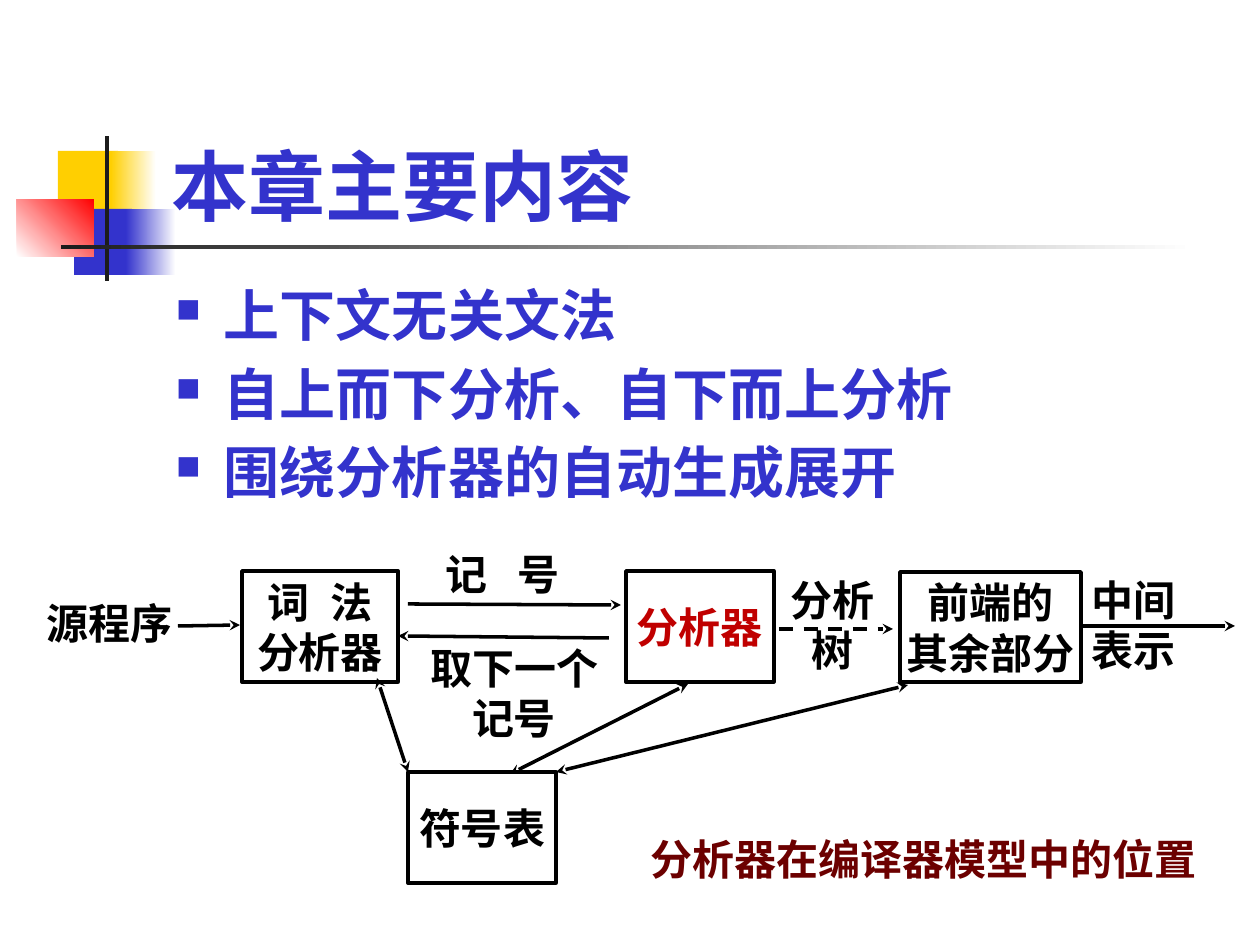
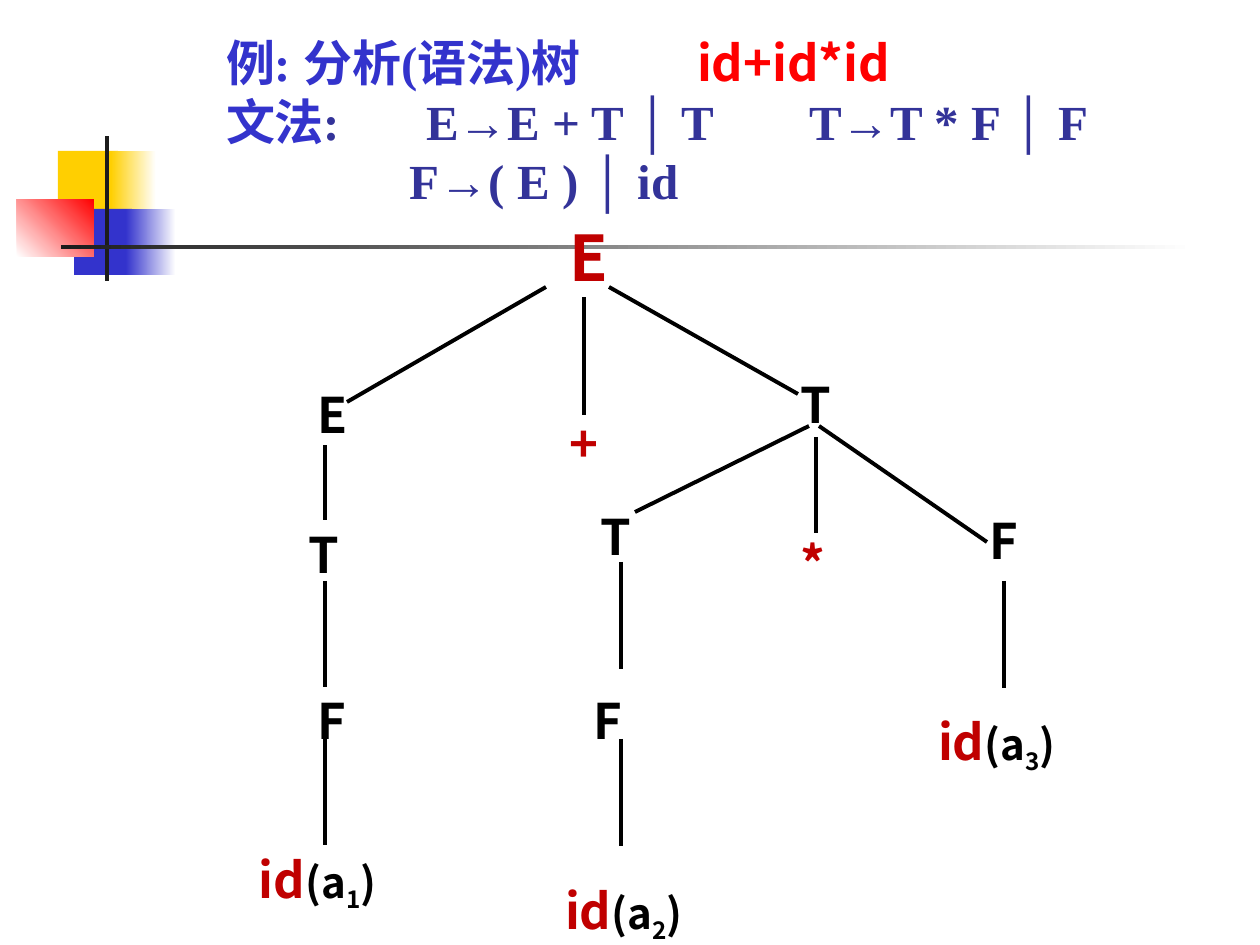
import pptx
import pptx.util
import pptx.dml.color
import pptx.enum.dml
import pptx.enum.shapes
import pptx.enum.text
import lxml.etree

RGBColor = pptx.dml.color.RGBColor
RECTANGLE = pptx.enum.shapes.MSO_SHAPE.RECTANGLE
STRAIGHT = pptx.enum.shapes.MSO_CONNECTOR.STRAIGHT
ALIGN = pptx.enum.text.PP_ALIGN
ANCHOR = pptx.enum.text.MSO_ANCHOR
qn = pptx.oxml.ns.qn

BLUE = RGBColor(0x33, 0x33, 0xCC)
GRAMMAR_BLUE = RGBColor(0x33, 0x33, 0x99)
YELLOW = RGBColor(0xFF, 0xCF, 0x01)
RED = RGBColor(0xFF, 0x00, 0x00)
DARK_RED = RGBColor(0xC0, 0x00, 0x00)
MAROON = RGBColor(0x6C, 0x00, 0x00)
CHARCOAL = RGBColor(0x1C, 0x1C, 0x1C)
BLACK = RGBColor(0x00, 0x00, 0x00)
WHITE = RGBColor(0xFF, 0xFF, 0xFF)

SERIF = "Times New Roman"
HEADING = "Noto Sans CJK JP"
SANS = "Noto Sans CJK SC"
PX = 914400 / 126


def add_text(slide, box, lines, align=ALIGN.LEFT, anchor=ANCHOR.TOP, inset=(13, 6),
             spacing=None, outlined=False, wrap=True):
    place = [round(v * PX) for v in box]
    if outlined:
        shape = slide.shapes.add_shape(RECTANGLE, *place)
        shape.shadow.inherit = False
        shape.fill.background()
        shape.line.color.rgb = BLACK
        shape.line.width = pptx.util.Pt(2)
    else:
        shape = slide.shapes.add_textbox(*place)
    frame = shape.text_frame
    frame.word_wrap = wrap
    frame.vertical_anchor = anchor
    frame.margin_left = frame.margin_right = round(inset[0] * PX)
    frame.margin_top = frame.margin_bottom = round(inset[1] * PX)
    for index, runs in enumerate(lines):
        paragraph = frame.add_paragraph() if index else frame.paragraphs[0]
        paragraph.alignment = align
        paragraph.line_spacing = spacing or pptx.util.Pt(runs[0][1] * 1.2)
        for text, size, font, color, *extras in runs:
            run = paragraph.add_run()
            run.text = text
            run.font.size = pptx.util.Pt(size)
            run.font.name = font
            run.font.bold = True
            run.font.color.rgb = color
            properties = run.font._element
            east_asian = lxml.etree.SubElement(properties, qn("a:ea"))
            east_asian.set("typeface", SANS if font == SERIF else font)
            for key, value in extras:
                properties.set(key, value)
    return frame


def add_line(slide, ends, width, heads=(), dashed=False):
    line = slide.shapes.add_connector(STRAIGHT, *[round(v * PX) for v in ends])
    line.line.color.rgb = BLACK
    line.line.width = pptx.util.Pt(width)
    if dashed:
        line.line.dash_style = pptx.enum.dml.MSO_LINE.DASH
    for head in heads:
        arrow = lxml.etree.SubElement(line.line._get_or_add_ln(), qn(head))
        arrow.set("type", "stealth")
    lxml.etree.SubElement(line._element.spPr, qn("a:effectLst"))


deck = pptx.Presentation()
deck.slide_width = round(1260 * PX)
deck.slide_height = round(945 * PX)

decorations = [
    ((58, 151, 60, 66), YELLOW, None, 0),
    ((111, 151, 45, 66), YELLOW, WHITE, 0),
    ((74, 209, 58, 66), BLUE, None, 0),
    ((126, 209, 50, 66), BLUE, WHITE, 0),
    ((17, 199, 77, 58), WHITE, RED, 45),
    ((105, 136, 4, 145), CHARCOAL, None, 0),
    ((61, 245, 1134, 4), CHARCOAL, WHITE, 0),
]
contents, tree = [deck.slides.add_slide(deck.slide_layouts[6]) for _ in range(2)]
for slide in (contents, tree):
    for box, start, end, angle in decorations:
        block = slide.shapes.add_shape(RECTANGLE, *[round(v * PX) for v in box])
        block.shadow.inherit = False
        block.line.fill.background()
        if end is None:
            block.fill.solid()
            block.fill.fore_color.rgb = start
        else:
            block.fill.gradient()
            block.fill.gradient_angle = angle
            for stop, color in zip(block.fill.gradient_stops, (start, end)):
                stop.color.rgb = color

add_text(contents, (159, 35, 1074, 202), [[("本章主要内容", 44, HEADING, BLUE)]],
         anchor=ANCHOR.BOTTOM)
topics = ["上下文无关文法", "自上而下分析、自下而上分析", "围绕分析器的自动生成展开"]
topic_list = add_text(contents, (163, 275, 893, 255),
                      [[(topic, 32, HEADING, BLUE)] for topic in topics])
for paragraph in topic_list.paragraphs:
    paragraph.space_before = pptx.util.Pt(6.4)
    properties = paragraph._p.get_or_add_pPr()
    properties.set("marL", str(round(48 * PX)))
    properties.set("indent", str(round(-48 * PX)))
    bullet_color = lxml.etree.SubElement(properties, qn("a:buClr"))
    lxml.etree.SubElement(bullet_color, qn("a:srgbClr")).set("val", str(BLUE))
    lxml.etree.SubElement(properties, qn("a:buSzPct")).set("val", "60000")
    lxml.etree.SubElement(properties, qn("a:buChar")).set("char", "■")

lexer = [[("词", 24, SERIF, BLACK), (" ", 24, SERIF, BLACK, ("spc", "600")),
          ("法", 24, SERIF, BLACK)], [("分析器", 24, SERIF, BLACK)]]
front_end = [[(text, 24, SERIF, BLACK)] for text in ("前端的", "其余部分")]
stages = [
    ((242, 571, 156, 111), lexer),
    ((626, 571, 148, 111), [[("分析器", 24, SERIF, DARK_RED)]]),
    ((900, 572, 181, 110), front_end),
    ((408, 772, 148, 111), [[("符号表", 24, SERIF, BLACK)]]),
]
for box, lines in stages:
    add_text(contents, box, lines, ALIGN.CENTER, ANCHOR.MIDDLE, (3, 6), outlined=True)

token = [("记", 24, SERIF, BLACK), (" ", 24, SERIF, BLACK, ("spc", "1200")),
         ("号", 24, SERIF, BLACK)]
flow_labels = [
    ((398, 542, 209, 68), token, 6),
    ((398, 636, 232, 110), [("取下一个记号", 24, SERIF, BLACK)], 6),
    ((30, 591, 158, 68), [("源程序", 24, SERIF, BLACK)], 6),
    ((758, 573, 149, 59), [("分析树", 24, SERIF, BLACK)], 1),
    ((1059, 573, 149, 59), [("中间表示", 24, SERIF, BLACK)], 1),
]
for box, runs, top in flow_labels:
    add_text(contents, box, [runs], ALIGN.CENTER, inset=(13, top))

ONE_WAY = ("a:tailEnd",)
BOTH_WAYS = ("a:headEnd", "a:tailEnd")
flows = [
    ((408, 604, 621, 605), ONE_WAY, False),
    ((609, 638, 398, 636), ONE_WAY, False),
    ((178, 626, 240, 625), ONE_WAY, False),
    ((779, 629, 893, 629), ONE_WAY, True),
    ((1081, 626, 1235, 626), ONE_WAY, False),
    ((377, 678, 408, 772), BOTH_WAYS, False),
    ((908, 685, 556, 772), BOTH_WAYS, False),
    ((688, 684, 510, 774), BOTH_WAYS, False),
]
for ends, heads, dashed in flows:
    add_line(contents, ends, 2, heads, dashed)
add_text(contents, (638, 828, 577, 63), [[("分析器在编译器模型中的位置", 24, "Roboto", MAROON)]],
         wrap=False)

grammar = add_text(tree, (213, 27, 916, 200), [
    [("例: 分析(语法)树\t", 28, SERIF, BLUE), ("id+id*id", 28, SANS, RED)],
    [("文法", 28, SERIF, BLUE), (":\tE→E + T │ T\tT→T * F │ F", 28, SERIF, GRAMMAR_BLUE)],
    [("\tF→( E ) │ id", 28, SERIF, GRAMMAR_BLUE)],
])
for paragraph, stops in zip(grammar.paragraphs, [(471,), (200, 583), (184,)]):
    tabs = lxml.etree.SubElement(paragraph._p.get_or_add_pPr(), qn("a:tabLst"))
    for stop in stops:
        tab = lxml.etree.SubElement(tabs, qn("a:tab"))
        tab.set("pos", str(round(stop * PX)))
        tab.set("algn", "l")

symbols = [
    ("E", 557, 205, 36, DARK_RED), ("E", 305, 373, 28, BLACK),
    ("+", 557, 402, 28, DARK_RED), ("T", 788, 363, 28, BLACK),
    ("T", 588, 495, 28, BLACK), ("*", 788, 522, 28, DARK_RED),
    ("F", 977, 499, 28, BLACK), ("T", 296, 513, 28, BLACK),
    ("F", 581, 679, 28, BLACK), ("F", 305, 679, 28, BLACK),
]
for symbol, left, top, size, color in symbols:
    add_text(tree, (left, top, 108, 71), [[(symbol, size, SANS, color)]], spacing=1.1)

for number, (left, top) in enumerate([(246, 837), (552, 868), (925, 699)], 1):
    leaf = [("id", 28, SANS, DARK_RED), ("(a", 24, SANS, BLACK),
            (str(number), 24, SANS, BLACK, ("baseline", "-25000")), (")", 24, SANS, BLACK)]
    add_text(tree, (left, top, 158, 71), [leaf], spacing=1.1)

branches = [
    (347, 402, 546, 287), (798, 394, 609, 287), (584, 415, 584, 297),
    (635, 512, 809, 426), (816, 437, 816, 533), (819, 426, 987, 542),
    (325, 520, 325, 445), (325, 581, 325, 687), (325, 739, 325, 845),
    (621, 562, 621, 669), (621, 739, 621, 846), (1004, 581, 1004, 688),
]
for ends in branches:
    add_line(tree, ends, 2.25)

deck.save("out.pptx")
